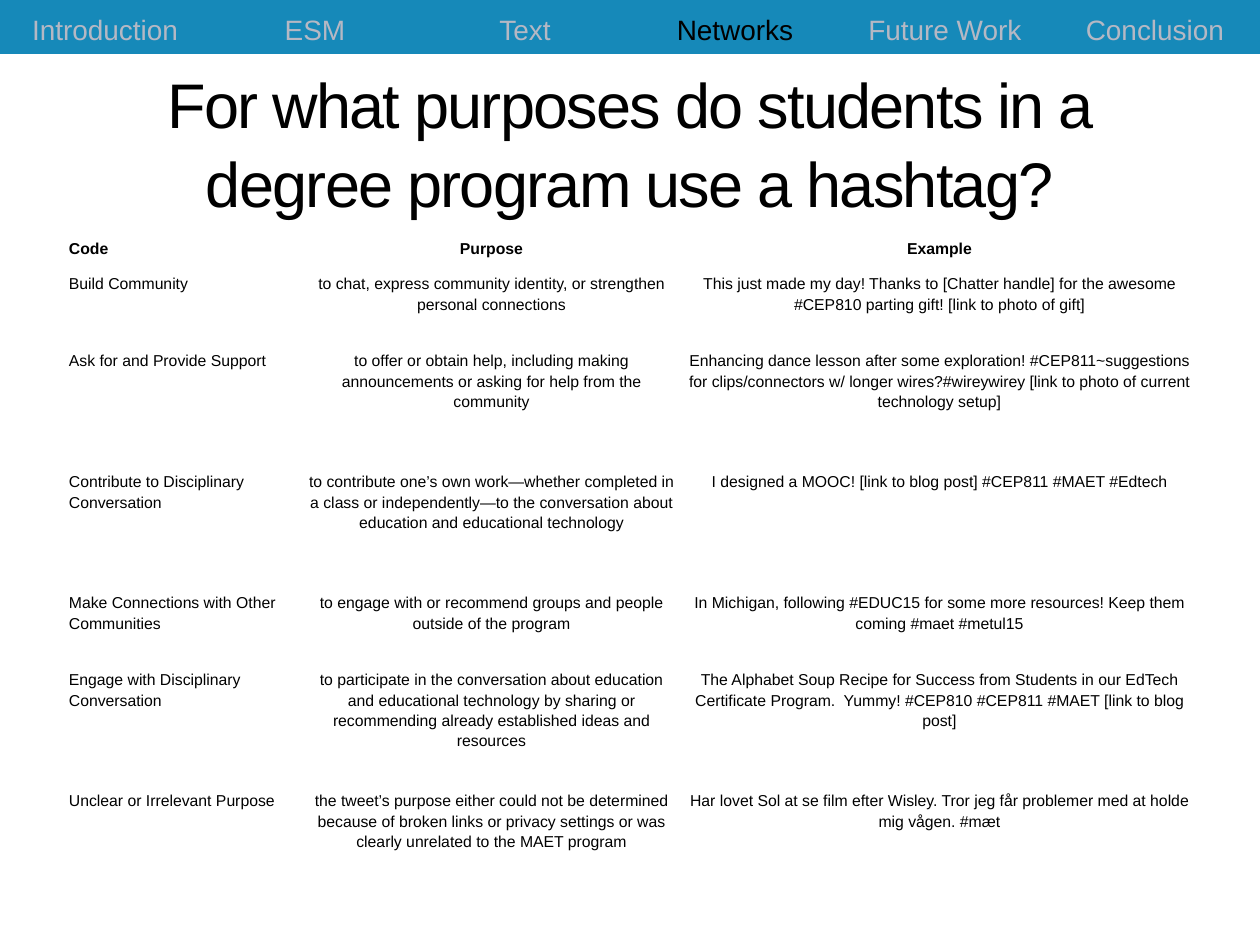
from lxml import etree
from pptx import Presentation
from pptx.dml.color import RGBColor
from pptx.enum.shapes import MSO_SHAPE
from pptx.enum.text import MSO_ANCHOR, PP_ALIGN
from pptx.oxml.ns import qn
from pptx.util import Emu, Pt

LEFT, CENTER = PP_ALIGN.LEFT, PP_ALIGN.CENTER
TOP, MIDDLE, BOTTOM = MSO_ANCHOR.TOP, MSO_ANCHOR.MIDDLE, MSO_ANCHOR.BOTTOM
RECTANGLE = MSO_SHAPE.RECTANGLE
FONT = "Arial"
COLORS = {"bar": "1689B9", "muted": "B5B8C4", "text": "000000", "paper": "FFFFFF"}

SECTIONS = ["Introduction", "ESM", "Text", "Networks", "Future Work", "Conclusion"]
CURRENT = "Networks"
TITLE = "For what purposes do students in a degree program use a hashtag?"
COL_WIDTHS = [238, 381, 515]
ROW_HEIGHTS = [35, 77, 121, 121, 77, 121, 121]
PURPOSES = [
    ("Code", "Purpose", "Example"),
    ("Build Community",
     "to chat, express community identity, or strengthen personal connections",
     "This just made my day! Thanks to [Chatter handle] for the awesome #CEP810 "
     "parting gift! [link to photo of gift]"),
    ("Ask for and Provide Support",
     "to offer or obtain help, including making announcements or asking for help "
     "from the community",
     "Enhancing dance lesson after some exploration! #CEP811~suggestions for "
     "clips/connectors w/ longer wires?#wireywirey [link to photo of current "
     "technology setup]"),
    ("Contribute to Disciplinary Conversation",
     "to contribute one’s own work—whether completed in a class or "
     "independently—to the conversation about education and educational technology",
     "I designed a MOOC! [link to blog post] #CEP811 #MAET #Edtech"),
    ("Make Connections with Other Communities",
     "to engage with or recommend groups and people outside of the program",
     "In Michigan, following #EDUC15 for some more resources! Keep them coming "
     "#maet #metul15"),
    ("Engage with Disciplinary Conversation",
     "to participate in the conversation about education and educational "
     "technology by sharing or recommending already established ideas and resources",
     "The Alphabet Soup Recipe for Success from Students in our EdTech Certificate "
     "Program.  Yummy! #CEP810 #CEP811 #MAET [link to blog post]"),
    ("Unclear or Irrelevant Purpose",
     "the tweet’s purpose either could not be determined because of broken links "
     "or privacy settings or was clearly unrelated to the MAET program",
     "Har lovet Sol at se film efter Wisley. Tror jeg får problemer med at holde "
     "mig vågen. #mæt"),
]


def px(n):
    return Emu(round(n * 914400 / 126))


def rgb(name):
    return RGBColor.from_string(COLORS[name])


def format_text(p, size, color, align, bold=False, spacing=None):
    p.alignment = align
    p.line_spacing = spacing
    for r in p.runs:
        r.font.name = FONT
        r.font.size = Pt(size)
        r.font.bold = bold
        r.font.color.rgb = rgb(color)


def set_borders(cell, color):
    tc_pr = cell._tc.get_or_add_tcPr()
    for side in ("a:lnL", "a:lnR", "a:lnT", "a:lnB"):
        ln = etree.SubElement(tc_pr, qn(side), w=str(Pt(1)))
        fill = etree.SubElement(ln, qn("a:solidFill"))
        etree.SubElement(fill, qn("a:srgbClr"), val=COLORS[color])


def add_plain_table(s, x, y, widths, heights, border):
    frame = s.shapes.add_table(len(heights), len(widths), px(x), px(y),
                               px(sum(widths)), px(sum(heights)))
    table = frame.table
    table.first_row = table.horz_banding = False
    for col, w in zip(table.columns, widths):
        col.width = px(w)
    for row, h in zip(table.rows, heights):
        row.height = px(h)
    for cell in table.iter_cells():
        set_borders(cell, border)
    return table


def add_navigation(s, x, y, w, h):
    # Bar behind the section names
    bar = s.shapes.add_shape(RECTANGLE, px(x), px(0), px(w), px(50))
    bar.shadow.inherit = False
    bar.fill.solid()
    bar.fill.fore_color.rgb = rgb("bar")
    bar.line.fill.background()

    # Section names, current one in black
    widths = [w // len(SECTIONS)] * len(SECTIONS)
    table = add_plain_table(s, x, y, widths, [h], "bar")
    for cell, section in zip(table.iter_cells(), SECTIONS):
        cell.fill.solid()
        cell.fill.fore_color.rgb = rgb("bar")
        cell.vertical_anchor = BOTTOM
        cell.text_frame.text = section
        color = "text" if section == CURRENT else "muted"
        format_text(cell.text_frame.paragraphs[0], 16, color, CENTER)


def add_title(s, x, y, w, h):
    title = s.shapes.title
    title.left, title.top, title.width, title.height = px(x), px(y), px(w), px(h)
    tf = title.text_frame
    tf.text = TITLE
    tf.word_wrap = True
    tf.vertical_anchor = MIDDLE
    p = tf.paragraphs[0]
    format_text(p, 36, "text", CENTER, spacing=1.05)
    p.runs[0].font._element.set("spc", "-100")


def add_purpose_table(s, x, y):
    table = add_plain_table(s, x, y, COL_WIDTHS, ROW_HEIGHTS, "paper")
    for i, row in enumerate(PURPOSES):
        for j, text in enumerate(row):
            cell = table.cell(i, j)
            cell.fill.background()
            cell.vertical_anchor = TOP
            cell.margin_left = cell.margin_right = px(6)
            cell.margin_top = cell.margin_bottom = px(6)
            cell.text_frame.text = text
            format_text(cell.text_frame.paragraphs[0], 9, "text",
                        CENTER if j else LEFT, bold=i == 0, spacing=1.15)


def main():
    prs = Presentation()
    prs.slide_width, prs.slide_height = px(1260), px(945)
    s = prs.slides.add_slide(prs.slide_layouts[5])
    add_title(s, 63, 73, 1134, 136)
    add_purpose_table(s, 63, 232)
    add_navigation(s, 0, -4, 1260, 57)
    prs.save("out.pptx")


if __name__ == "__main__":
    main()
